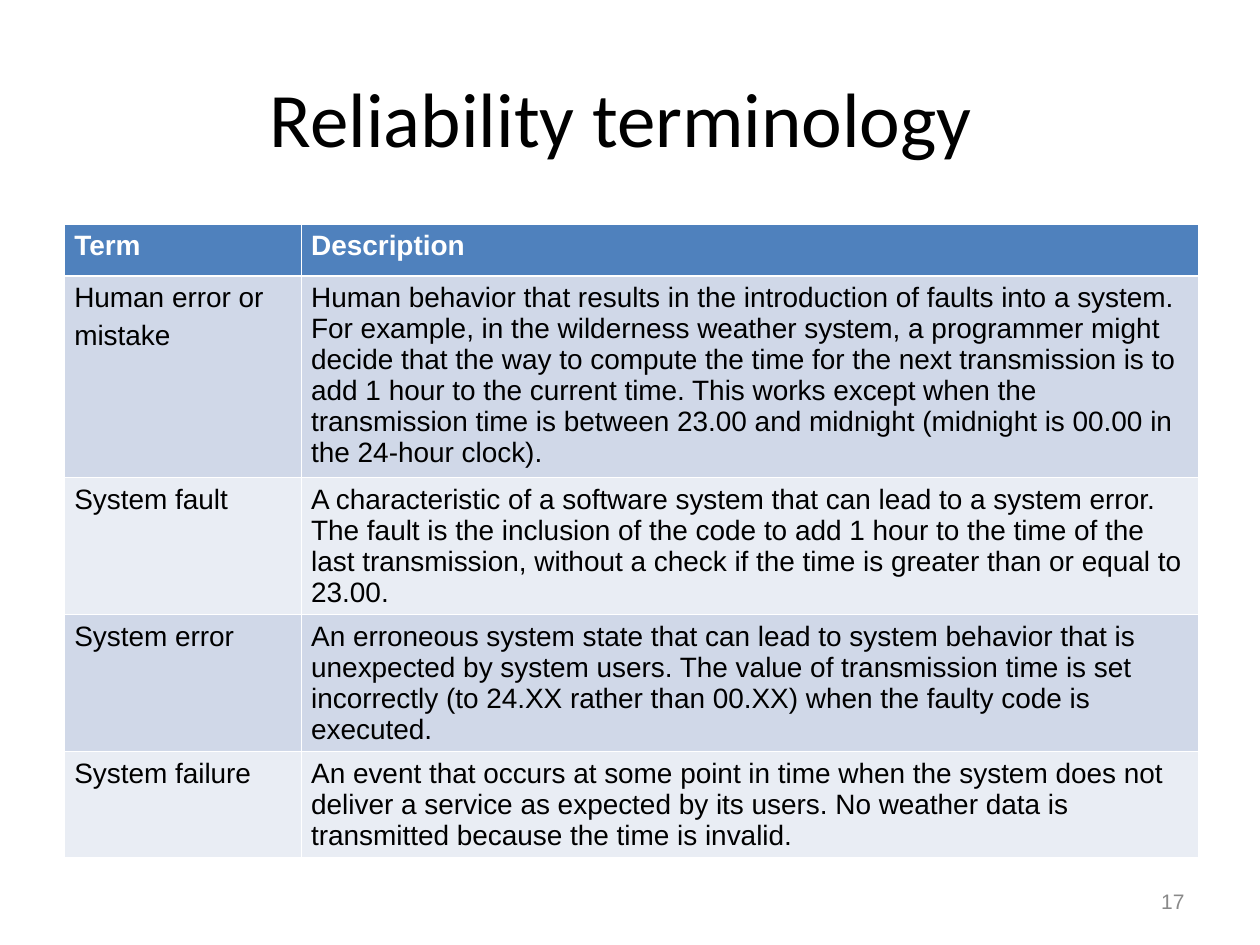
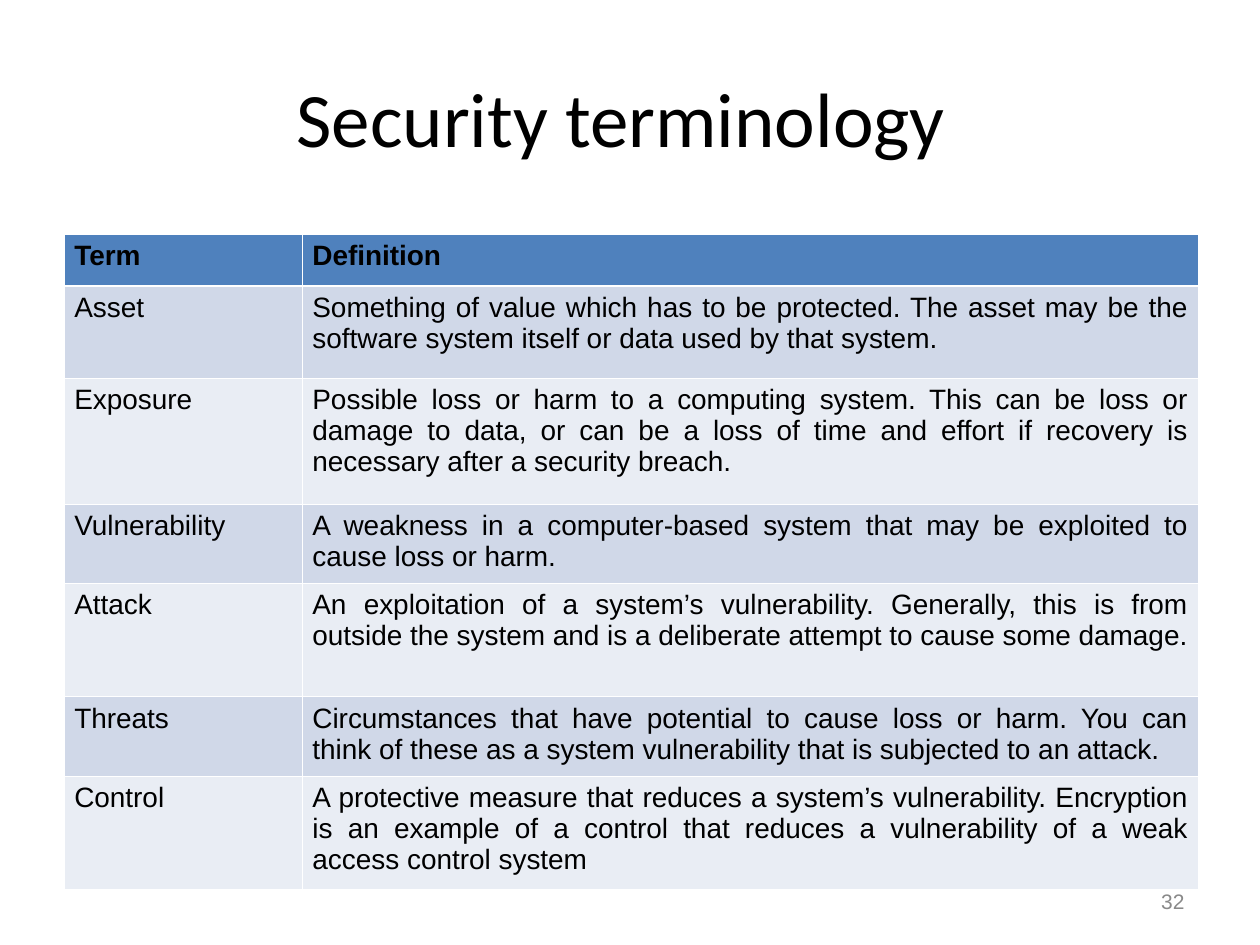
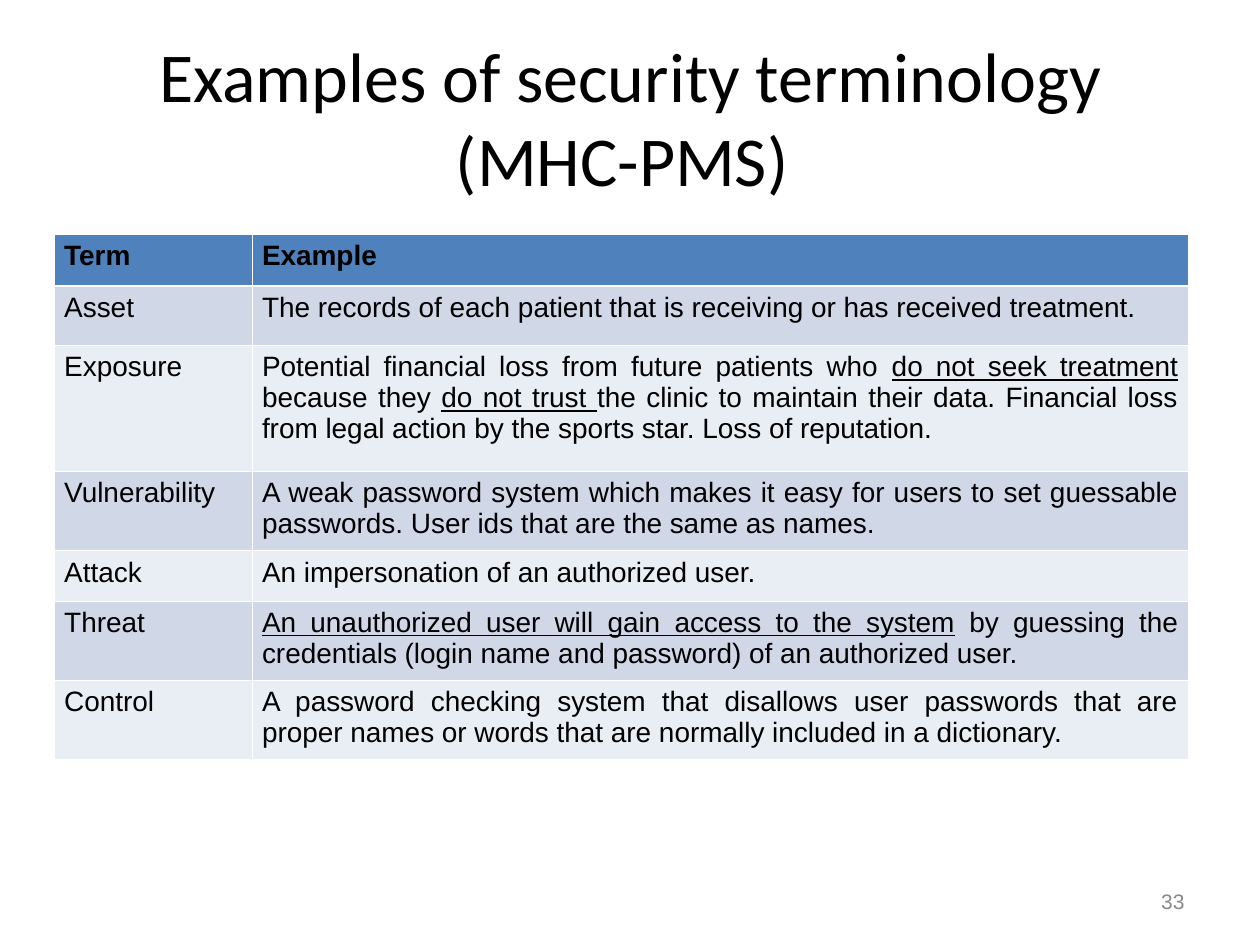
from pptx import Presentation
from pptx.dml.color import RGBColor
from pptx.enum.text import MSO_ANCHOR, PP_ALIGN
from pptx.oxml.ns import qn
from pptx.util import Inches, Pt
from lxml.etree import SubElement

WHITE = RGBColor(0xFF, 0xFF, 0xFF)
BLACK = RGBColor(0x00, 0x00, 0x00)
GRAY = RGBColor(0x89, 0x89, 0x89)
HEADER_BLUE = RGBColor(0x4F, 0x81, 0xBD)
BANDS = (RGBColor(0xD0, 0xD8, 0xE8), RGBColor(0xE9, 0xED, 0xF4))

TITLE_BOX = (0.5, 0.3, 9, 1.25)
NUMBER_BOX = (7.17, 6.95, 2.33, 0.4)
THIN, THICK = Pt(0.45), Pt(1.5)

# Underscores enclose the underlined words of a cell.
RELIABILITY = [
    ("Term", "Description"),
    ("Human error or\nmistake",
     "Human behavior that results in the introduction of faults into a system. For example, "
     "in the wilderness weather system, a programmer might decide that the way to compute "
     "the time for the next transmission is to add 1 hour to the current time. This works "
     "except when the transmission time is between 23.00 and midnight (midnight is 00.00 in "
     "the 24-hour clock)."),
    ("System fault",
     "A characteristic of a software system that can lead to a system error. The fault is "
     "the inclusion of the code to add 1 hour to the time of the last transmission, without "
     "a check if the time is greater than or equal to 23.00."),
    ("System error",
     "An erroneous system state that can lead to system behavior that is unexpected by "
     "system users. The value of transmission time is set incorrectly (to 24.XX rather than "
     "00.XX) when the faulty code is executed."),
    ("System failure",
     "An event that occurs at some point in time when the system does not deliver a service "
     "as expected by its users. No weather data is transmitted because the time is invalid."),
]
SECURITY = [
    ("Term", "Definition"),
    ("Asset",
     "Something of value which has to be protected. The asset may be the software system "
     "itself or data used by that system."),
    ("Exposure",
     "Possible loss or harm to a computing system. This can be loss or damage to data, or "
     "can be a loss of time and effort if recovery is necessary after a security breach."),
    ("Vulnerability",
     "A weakness in a computer-based system that may be exploited to cause loss or harm."),
    ("Attack",
     "An exploitation of a system’s vulnerability. Generally, this is from outside the "
     "system and is a deliberate attempt to cause some damage."),
    ("Threats",
     "Circumstances that have potential to cause loss or harm. You can think of these as a "
     "system vulnerability that is subjected to an attack."),
    ("Control",
     "A protective measure that reduces a system’s vulnerability. Encryption is an example "
     "of a control that reduces a vulnerability of a weak access control system"),
]
EXAMPLES = [
    ("Term", "Example"),
    ("Asset", "The records of each patient that is receiving or has received treatment."),
    ("Exposure",
     "Potential financial loss from future patients who _do not seek treatment _because "
     "they _do not trust _the clinic to maintain their data. Financial loss from legal "
     "action by the sports star. Loss of reputation."),
    ("Vulnerability",
     "A weak password system which makes it easy for users to set guessable passwords. "
     "User ids that are the same as names."),
    ("Attack", "An impersonation of an authorized user."),
    ("Threat",
     "_An unauthorized user will gain access to the system_ by guessing the credentials "
     "(login name and password) of an authorized user."),
    ("Control",
     "A password checking system that disallows user passwords that are proper names or "
     "words that are normally included in a dictionary."),
]


def style_font(font, name, size, color, bold=False):
    font.name, font.size, font.bold = name, Pt(size), bold
    font.color.rgb = color


def add_title(slide, box, title, size):
    heading = slide.shapes.title
    heading.left, heading.top, heading.width, heading.height = map(Inches, box)
    frame = heading.text_frame
    frame.text = title
    frame.word_wrap = True
    frame.vertical_anchor = MSO_ANCHOR.MIDDLE
    frame.paragraphs[0].alignment = PP_ALIGN.CENTER
    style_font(frame.paragraphs[0].runs[0].font, "Calibri", size, BLACK)


def add_page_number(slide, box, number):
    frame = slide.shapes.add_textbox(*map(Inches, box)).text_frame
    frame.text = str(number)
    frame.word_wrap = True
    frame.vertical_anchor = MSO_ANCHOR.MIDDLE
    frame.paragraphs[0].alignment = PP_ALIGN.RIGHT
    style_font(frame.paragraphs[0].runs[0].font, "Arial", 12, GRAY)


def set_borders(cell, top, bottom):
    """Draw white cell borders; the sides are always thin."""
    properties = cell._tc.get_or_add_tcPr()
    for side, width in (("L", THIN), ("R", THIN), ("T", top), ("B", bottom)):
        line = SubElement(properties, qn(f"a:ln{side}"), w=str(int(width)))
        SubElement(SubElement(line, qn("a:solidFill")), qn("a:srgbClr"), val=str(WHITE))


def fill_cell(cell, content, row, header_color, alignment, space_after):
    is_header = row == 0
    set_borders(cell, THICK if row == 1 else THIN, THICK if is_header else THIN)
    cell.fill.solid()
    cell.fill.fore_color.rgb = HEADER_BLUE if is_header else BANDS[(row - 1) % 2]
    cell.margin_left = cell.margin_right = Inches(0.08)
    cell.margin_top = cell.margin_bottom = Inches(0.05)
    frame = cell.text_frame
    frame.text = content.replace("_", "")
    for paragraph, line in zip(frame.paragraphs, content.split("\n")):
        paragraph.alignment = alignment
        paragraph.space_after = Pt(0 if is_header else space_after)
        paragraph.text = ""
        for index, part in enumerate(line.split("_")):
            if part:
                run = paragraph.add_run()
                run.text = part
                style_font(run.font, "Arial", 16, header_color if is_header else BLACK, is_header)
                run.font.underline = index % 2 == 1


def add_term_table(slide, origin, entries, term_width, row_heights,
                   header_color=BLACK, alignment=PP_ALIGN.JUSTIFY, space_after=0):
    left, top = origin
    width = 9
    table = slide.shapes.add_table(len(entries), 2, Inches(left), Inches(top),
                                   Inches(width), Inches(sum(row_heights))).table
    table.columns[0].width = Inches(term_width)
    table.columns[1].width = Inches(width - term_width)
    for row, (entry, height) in enumerate(zip(entries, row_heights)):
        table.rows[row].height = Inches(height)
        for column, content in enumerate(entry):
            fill_cell(table.cell(row, column), content, row,
                      header_color, alignment, space_after)


def add_term_slide(deck, title, number, title_size=44, **table_options):
    slide = deck.slides.add_slide(deck.slide_layouts.get_by_name("Title Only"))
    add_title(slide, TITLE_BOX, title, title_size)
    add_term_table(slide, **table_options)
    add_page_number(slide, NUMBER_BOX, number)


def main():
    deck = Presentation()
    deck.slide_width, deck.slide_height = Inches(10), Inches(7.5)
    add_term_slide(deck, "Reliability terminology ", 17, origin=(0.51, 1.78),
                   entries=RELIABILITY, term_width=1.88,
                   row_heights=(0.41, 1.6, 1.07, 1.07, 0.8),
                   header_color=WHITE, alignment=PP_ALIGN.LEFT, space_after=4)
    add_term_slide(deck, "Security terminology ", 32, origin=(0.51, 1.86),
                   entries=SECURITY, term_width=1.89,
                   row_heights=(0.41, 0.73, 1, 0.63, 0.9, 0.63, 0.9))
    add_term_slide(deck, "Examples of security terminology (MHC-PMS) ", 33, title_size=40,
                   origin=(0.43, 1.86), entries=EXAMPLES, term_width=1.57,
                   row_heights=(0.41, 0.47, 1, 0.63, 0.4, 0.63, 0.63))
    deck.save("out.pptx")


if __name__ == "__main__":
    main()
